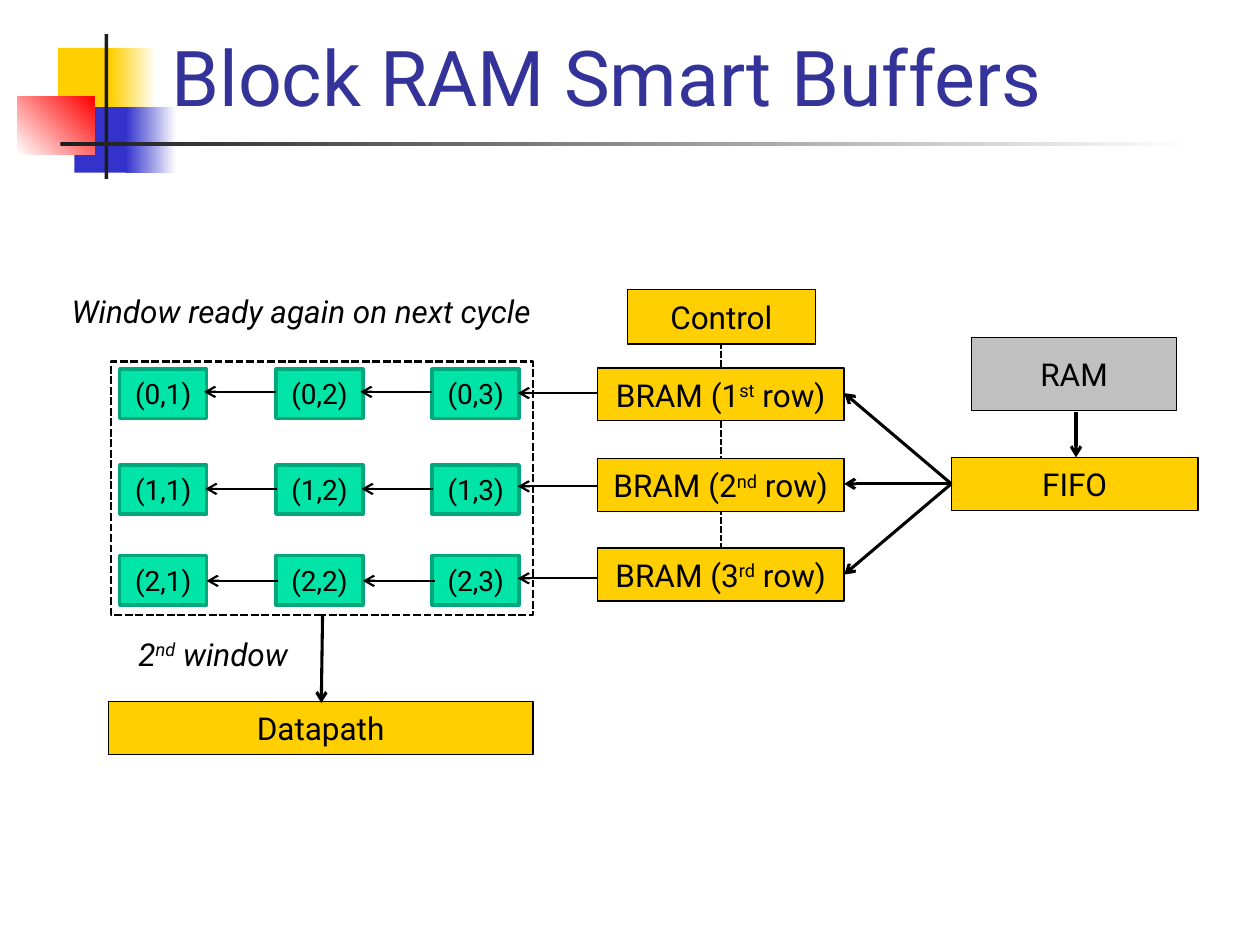
from dataclasses import dataclass
from typing import Any, Optional

from lxml import etree
from pptx import Presentation
from pptx import util as u
from pptx.dml.color import RGBColor
from pptx.enum import dml, shapes, text
from pptx.oxml import ns

FONT = "Roboto"
BLACK, WHITE, YELLOW, BLUE = "000000", "FFFFFF", "FFCF01", "3333CC"
CHARCOAL, GREY, GREEN, DARK_GREEN = "1C1C1C", "C0C0C0", "00E4A8", "00A77A"
MARGINS = {
    "margin_left": u.Inches(0.1),
    "margin_right": u.Inches(0.1),
    "margin_top": u.Inches(0.05),
    "margin_bottom": u.Inches(0.05),
}


@dataclass
class Block:
    left: float
    top: float
    width: float
    height: float
    fill: Optional[str] = YELLOW
    fade_to: Optional[str] = None
    angle: float = 0
    line: Optional[str] = None
    weight: float = 0.75
    dashed: bool = False
    wording: tuple[str, ...] = ()
    size: float = 18
    wrap: bool = False


@dataclass
class Link:
    start: tuple[float, float]
    end: tuple[float, float]
    weight: float = 1.25
    dashed: bool = False
    arrow: bool = True


@dataclass
class WindowRow:
    ordinal: str
    bram_top: float
    cell_top: float
    feed_y: float
    shift_y: float


def rgb(value: str) -> RGBColor:
    return RGBColor.from_string(value)


def apply(target: Any, values: dict[str, Any]) -> None:
    for name, value in values.items():
        setattr(target, name, value)


def inches(*lengths: float) -> list[u.Length]:
    return [u.Inches(length) for length in lengths]


def write(frame: Any, wording: tuple[str, ...], size: float, color: str = BLACK,
          italic: bool = False, align: Any = text.PP_ALIGN.LEFT) -> None:
    paragraph = frame.paragraphs[0]
    paragraph.alignment = align
    for index, words in enumerate(wording):
        run = paragraph.add_run()
        run.text = words
        apply(run.font, {"name": FONT, "size": u.Pt(size), "italic": italic})
        run.font.color.rgb = rgb(color)
        if index % 2:
            run._r.get_or_add_rPr().set("baseline", "30000")


def stroke(line: Any, color: str, weight: float, dashed: bool) -> None:
    line.color.rgb = rgb(color)
    line.width = u.Pt(weight)
    if dashed:
        line.dash_style = dml.MSO_LINE.SQUARE_DOT


def draw_block(slide: Any, block: Block) -> None:
    shape = slide.shapes.add_shape(
        shapes.MSO_SHAPE.RECTANGLE,
        *inches(block.left, block.top, block.width, block.height))
    shape.shadow.inherit = False
    if block.fill is None:
        shape.fill.background()
    elif block.fade_to:
        shape.fill.gradient()
        shape.fill.gradient_angle = block.angle
        for stop, color in zip(shape.fill.gradient_stops, (block.fill, block.fade_to)):
            stop.color.rgb = rgb(color)
    else:
        shape.fill.solid()
        shape.fill.fore_color.rgb = rgb(block.fill)
    if block.line:
        stroke(shape.line, block.line, block.weight, block.dashed)
    else:
        shape.line.fill.background()
    if block.wording:
        apply(shape.text_frame, {**MARGINS, "word_wrap": block.wrap,
                                 "vertical_anchor": text.MSO_ANCHOR.MIDDLE})
        write(shape.text_frame, block.wording, block.size, align=text.PP_ALIGN.CENTER)


def draw_link(slide: Any, link: Link) -> None:
    connector = slide.shapes.add_connector(
        shapes.MSO_CONNECTOR.STRAIGHT, *inches(*link.start, *link.end))
    stroke(connector.line, BLACK, link.weight, link.dashed)
    if link.arrow:
        etree.SubElement(connector.line._get_or_add_ln(), ns.qn("a:tailEnd"), type="arrow")
    etree.SubElement(connector._element.spPr, ns.qn("a:effectLst"))


def draw_caption(slide: Any, left: float, top: float, width: float,
                 wording: tuple[str, ...]) -> None:
    caption = slide.shapes.add_textbox(*inches(left, top, width, 0.4))
    apply(caption.text_frame, {**MARGINS, "word_wrap": True})
    write(caption.text_frame, wording, 18, italic=True)


def labelled(left: float, top: float, width: float, height: float,
             *wording: str, fill: str = YELLOW) -> Block:
    return Block(left, top, width, height, fill, line=BLACK, wording=wording)


DECORATION = [
    Block(0.46, 0.38, 0.48, 0.52),
    Block(0.88, 0.38, 0.36, 0.52, fade_to=WHITE),
    Block(0.59, 0.85, 0.46, 0.52, BLUE),
    Block(1, 0.85, 0.4, 0.52, BLUE, WHITE),
    Block(0.14, 0.77, 0.61, 0.46, WHITE, "FF0000", 45),
    Block(0.83, 0.27, 0.03, 1.15, CHARCOAL),
    Block(0.48, 1.13, 9, 0.03, CHARCOAL, WHITE),
]
ROWS = [
    WindowRow("1st", 2.92, 2.93, 3.12, 3.11),
    WindowRow("2nd", 3.64, 3.69, 3.86, 3.88),
    WindowRow("3rd", 4.35, 4.41, 4.59, 4.61),
]
CELL_LEFT, CELL_PITCH, COLUMNS = 0.95, 1.24, 3
BRAM_LEFT, BRAM_WIDTH = 4.74, 1.96
FIFO_INLET = (7.55, 3.84)


def draw_row(slide: Any, index: int, row: WindowRow) -> None:
    draw_block(slide, labelled(BRAM_LEFT, row.bram_top, BRAM_WIDTH, 0.42,
                               f"BRAM ({row.ordinal[0]}", row.ordinal[1:], " row)"))
    for column in range(COLUMNS):
        draw_block(slide, Block(
            CELL_LEFT + column * CELL_PITCH, row.cell_top, 0.69, 0.39,
            GREEN, line=DARK_GREEN, weight=2, wording=(f"({index},{column + 1})",),
            size=16, wrap=True))
    draw_link(slide, Link((BRAM_LEFT, row.feed_y), (4.11, row.feed_y)))
    for column in range(1, COLUMNS):
        start = CELL_LEFT + column * CELL_PITCH + 0.01 * index
        draw_link(slide, Link((start, row.shift_y), (start - 0.57, row.shift_y)))


def main() -> None:
    deck = Presentation()
    deck.slide_width, deck.slide_height = inches(10, 7.5)
    slide = deck.slides.add_slide(deck.slide_layouts[5])
    for block in DECORATION:
        draw_block(slide, block)
    draw_link(slide, Link((5.72, 2.72), (5.72, 4.35), dashed=True, arrow=False))

    title = slide.shapes.title
    slide.shapes.element.append(title.element)
    apply(title, dict(zip(("left", "top", "width", "height"), inches(1.26, 0, 8.52, 1.02))))
    apply(title.text_frame, {**MARGINS, "word_wrap": True,
                             "auto_size": text.MSO_AUTO_SIZE.NONE,
                             "vertical_anchor": text.MSO_ANCHOR.BOTTOM})
    write(title.text_frame, ("Block RAM Smart Buffers",), 44, "333399")

    for index, row in enumerate(ROWS):
        draw_row(slide, index, row)

    draw_block(slide, labelled(4.98, 2.3, 1.49, 0.43, "Control"))
    draw_block(slide, labelled(7.55, 3.63, 1.96, 0.42, "FIFO"))
    draw_block(slide, labelled(7.71, 2.68, 1.63, 0.58, "RAM", fill=GREY))
    draw_link(slide, Link((8.54, 3.27), (8.54, 3.63), 1.75))
    for bram_y in (4.56, 3.12, 3.84):
        draw_link(slide, Link(FIFO_INLET, (BRAM_LEFT + BRAM_WIDTH, bram_y), 1.75))

    draw_caption(slide, 0.47, 2.27, 4.02, ("Window ready again on next cycle",))
    draw_block(slide, Block(0.88, 2.87, 3.35, 2.01, None, line=BLACK, weight=1.5, dashed=True))
    draw_block(slide, labelled(0.86, 5.57, 3.37, 0.42, "Datapath"))
    draw_link(slide, Link((2.56, 4.89), (2.55, 5.58), 1.75))
    draw_caption(slide, 1, 4.99, 1.52, ("2", "nd", " window"))
    deck.save("out.pptx")


if __name__ == "__main__":
    main()
